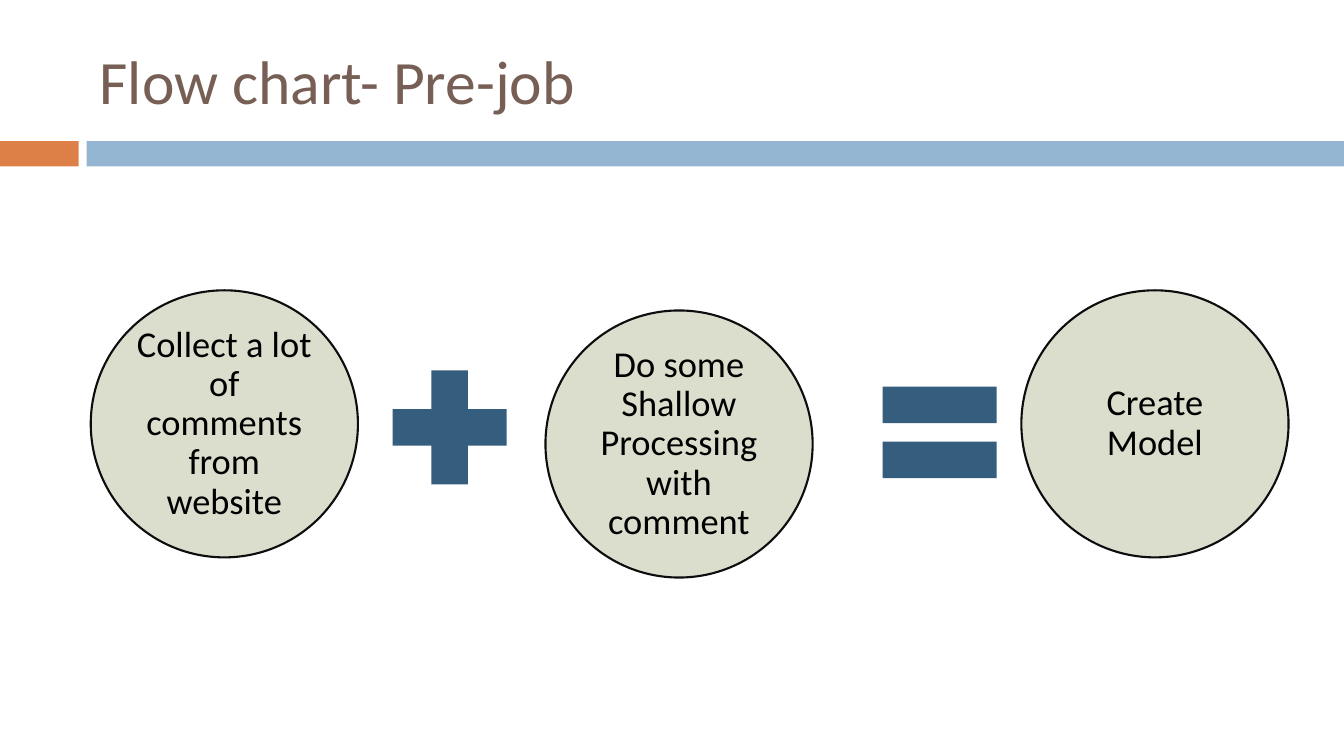
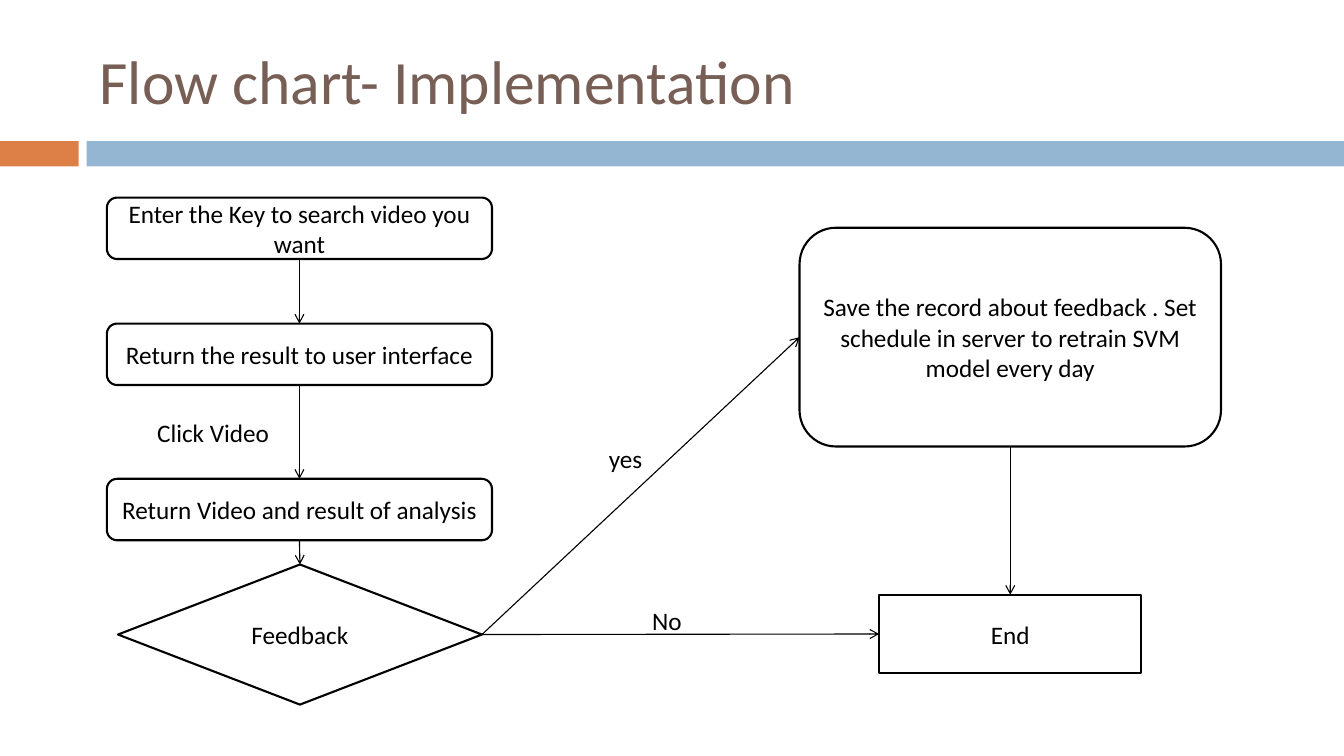
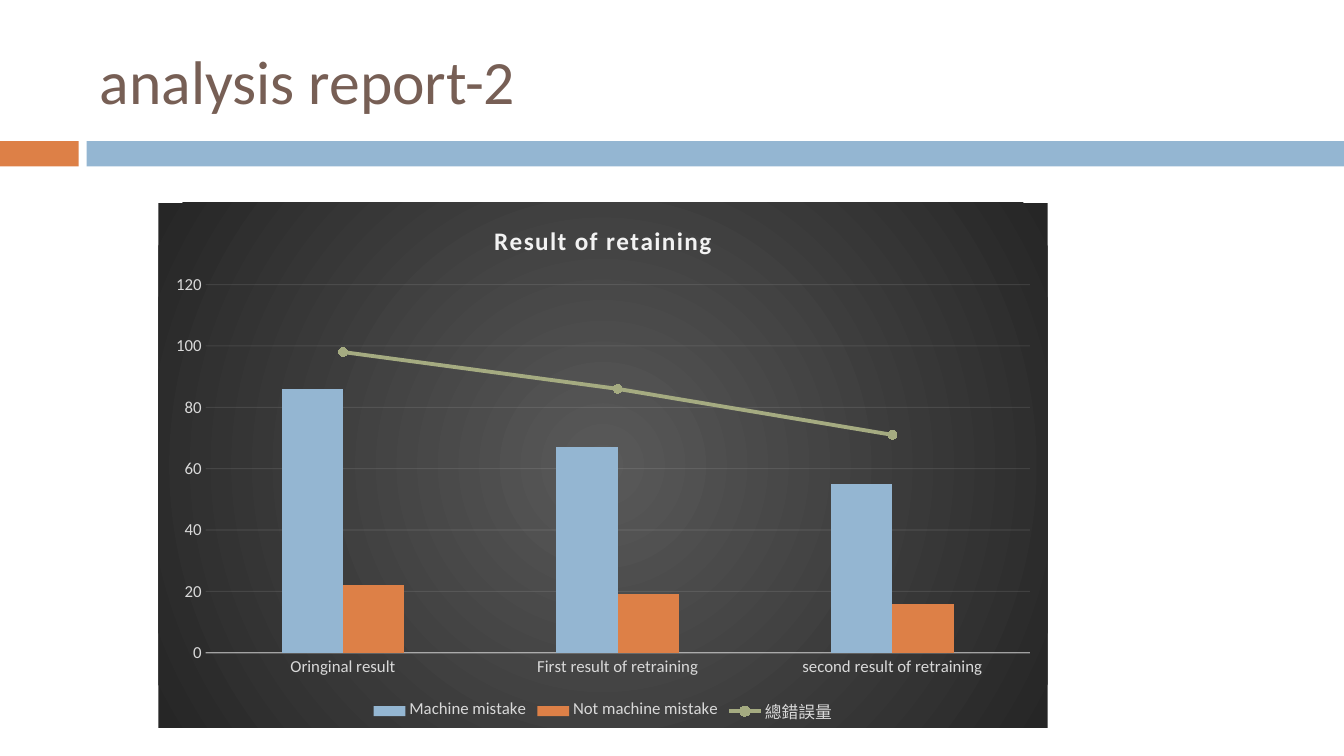
"""Build three slides: two flow charts and a report chart."""
from lxml import etree
from pptx import Presentation
from pptx.chart.data import CategoryChartData
from pptx.dml.color import RGBColor
from pptx.enum.chart import XL_CHART_TYPE, XL_LEGEND_POSITION, XL_MARKER_STYLE, XL_TICK_MARK
from pptx.enum.shapes import MSO_CONNECTOR, MSO_SHAPE
from pptx.enum.text import MSO_ANCHOR, PP_ALIGN
from pptx.oxml import parse_xml
from pptx.oxml.ns import nsdecls, qn
from pptx.util import Inches, Pt

RECT, OVAL, ROUND = MSO_SHAPE.RECTANGLE, MSO_SHAPE.OVAL, MSO_SHAPE.ROUNDED_RECTANGLE
PLUS, EQUAL = MSO_SHAPE.MATH_PLUS, MSO_SHAPE.MATH_EQUAL
CHOICE, STEP = MSO_SHAPE.FLOWCHART_DECISION, MSO_SHAPE.FLOWCHART_PROCESS
SAVE = MSO_SHAPE.FLOWCHART_ALTERNATE_PROCESS
LINE = MSO_CONNECTOR.STRAIGHT
MIDDLE, LEFT_AL, CENTER = MSO_ANCHOR.MIDDLE, PP_ALIGN.LEFT, PP_ALIGN.CENTER
COLUMNS, FOOT = XL_CHART_TYPE.COLUMN_CLUSTERED, XL_LEGEND_POSITION.BOTTOM
DOT, NO_TICK = XL_MARKER_STYLE.CIRCLE, XL_TICK_MARK.NONE
TOP, LEFT, BOTTOM, RIGHT = range(4)

FONT = "Calibri"
COLORS = {
    "title": "775F55", "orange": "DD8047", "blue": "94B6D2", "green": "A5AB81",
    "navy": "355D7E", "sage": "DBDDCD", "edge": "0D0D0D", "black": "000000",
    "label": "D9D9D9", "pale": "F2F2F2", "core": "595959", "rim": "262626",
}


def rgb(name):
    """Return the named colour."""
    return RGBColor.from_string(COLORS[name])


def style(font, size, color, bold=None):
    """Set face, size and colour of a font."""
    font.name, font.size, font.bold = FONT, Pt(size), bold
    font.color.rgb = rgb(color)


def paint(fill, color):
    """Fill with one solid colour."""
    fill.solid()
    fill.fore_color.rgb = rgb(color)


def stroke(line, color, width):
    """Set colour and width of a line."""
    line.color.rgb = rgb(color)
    line.width = Pt(width)


def write(shape, text, size, color="black", align=CENTER):
    """Write one styled paragraph into a shape."""
    frame = shape.text_frame
    frame.text = text
    para = frame.paragraphs[0]
    para.alignment = align
    style(para.runs[0].font, size, color)
    return frame


def add_form(slide, kind, box, fill=None, edge=None):
    """Add a flat preset shape."""
    shape = slide.shapes.add_shape(kind, *map(Inches, box))
    shape.shadow.inherit = False
    if fill:
        paint(shape.fill, fill)
    else:
        shape.fill.background()
    if edge:
        stroke(shape.line, edge, 1.5)
    else:
        shape.line.fill.background()
    return shape


def add_label(slide, text, box, size=18, color="black", wrap=False):
    """Add a left-aligned text box."""
    label = slide.shapes.add_textbox(*map(Inches, box))
    frame = write(label, text, size, color, LEFT_AL)
    frame.word_wrap = wrap
    return frame


def add_page(deck, title):
    """Add a slide with the shared bands and title."""
    slide = deck.slides.add_slide(deck.slide_layouts[6])
    add_form(slide, RECT, (0, 1.4, 0.78, 0.25), "orange")
    add_form(slide, RECT, (0.86, 1.4, 12.47, 0.25), "blue")
    frame = add_label(slide, title, (0.89, 0.25, 11.89, 1.08), 44, "title", True)
    frame.vertical_anchor = MIDDLE
    return slide


def add_disc(slide, text, left, top):
    """Add a round term of the sum."""
    disc = add_form(slide, OVAL, (left, top, 2.65, 2.65), "sage", "edge")
    frame = write(disc, text, 26)
    frame.word_wrap, frame.vertical_anchor = True, MIDDLE
    frame.margin_left = frame.margin_right = Inches(0.04)
    frame.margin_top = frame.margin_bottom = Inches(0.04)
    frame.paragraphs[0].line_spacing = 0.9


def add_step(slide, kind, text, box):
    """Add an outlined flow chart step."""
    step = add_form(slide, kind, box, edge="black")
    frame = write(step, text, 18)
    frame.word_wrap, frame.vertical_anchor = True, MIDDLE
    return step


def add_arrow(slide, start, out, end, into):
    """Join two steps with an arrow."""
    arrow = slide.shapes.add_connector(LINE, 0, 0, 0, 0)
    arrow.begin_connect(start, out)
    arrow.end_connect(end, into)
    stroke(arrow.line, "black", 0.79)
    props = arrow.element.spPr
    etree.SubElement(props.find(qn("a:ln")), qn("a:tailEnd"), type="arrow")
    etree.SubElement(props, qn("a:effectLst"))


def split_line(chart):
    """Move the last column series to a line plot on the same axes."""
    bars = chart.element.xpath(".//c:barChart")[0]
    series = bars.findall(qn("c:ser"))[-1]
    for flag in series.findall(qn("c:invertIfNegative")):
        series.remove(flag)
    plot = parse_xml(
        f'<c:lineChart {nsdecls("c")}><c:grouping val="standard"/>'
        '<c:varyColors val="0"/><c:marker val="1"/></c:lineChart>')
    plot.insert(2, series)
    for axis in bars.findall(qn("c:axId")):
        etree.SubElement(plot, qn("c:axId"), val=axis.get("val"))
    bars.addnext(plot)


def shade(chart):
    """Give the chart a round gradient ground."""
    stops = "".join(
        f'<a:gs pos="{place}"><a:srgbClr val="{COLORS[name]}"/></a:gs>'
        for place, name in ((0, "core"), (100000, "rim")))
    ground = parse_xml(
        f'<c:spPr {nsdecls("c", "a")}><a:gradFill><a:gsLst>{stops}</a:gsLst>'
        '<a:path path="circle"><a:fillToRect l="50000" t="50000" r="50000" b="50000"/>'
        '</a:path></a:gradFill><a:ln><a:noFill/></a:ln></c:spPr>')
    chart.element.find(qn("c:chart")).addnext(ground)


def fade(chart, route, share):
    """Make a line colour partly clear."""
    color = chart.element.xpath(f".//{route}/c:spPr//a:srgbClr")[0]
    etree.SubElement(color, qn("a:alpha"), val=str(share * 1000))


def set_axes(chart):
    """Style both axes and the grid."""
    across, up = chart.category_axis, chart.value_axis
    for axis in (across, up):
        axis.major_tick_mark = axis.minor_tick_mark = NO_TICK
        style(axis.tick_labels.font, 12, "label")
    stroke(across.format.line, "pale", 1)
    fade(chart, "c:catAx", 54)
    up.minimum_scale, up.maximum_scale, up.major_unit = 0, 120, 20
    up.format.line.fill.background()
    stroke(up.major_gridlines.format.line, "pale", 0.75)
    fade(chart, "c:majorGridlines", 10)


def set_title(chart, text):
    """Add a bold, spaced chart title."""
    frame = chart.chart_title.text_frame
    frame.text = text
    run = frame.paragraphs[0].runs[0]
    style(run.font, 18, "pale", True)
    run._r.get_or_add_rPr().set("spc", "100")


def add_combo(slide, title, names, rows, box):
    """Add a chart of columns with a line for the last row."""
    data = CategoryChartData()
    data.categories = names
    for name, values in rows:
        data.add_series(name, values)
    chart = slide.shapes.add_chart(COLUMNS, *map(Inches, box), data).chart
    style(chart.font, 10, "black")
    split_line(chart)
    shade(chart)
    bars, trend = chart.plots
    bars.gap_width, bars.overlap = 247, 0
    bars.vary_by_categories = False
    for series, color in zip(bars.series, ("blue", "orange")):
        paint(series.format.fill, color)
    total = trend.series[0]
    total.smooth = False
    stroke(total.format.line, "green", 2.75)
    total.marker.style, total.marker.size = DOT, 6
    paint(total.marker.format.fill, "green")
    stroke(total.marker.format.line, "green", 0.75)
    set_axes(chart)
    set_title(chart, title)
    chart.has_legend = True
    chart.legend.position = FOOT
    chart.legend.include_in_layout = False
    style(chart.legend.font, 12, "label")


def build_sum(deck):
    """Build the slide of work done before the job."""
    slide = add_page(deck, "Flow chart- Pre-job")
    for text, left, top in (
        ("Collect a lot of comments from website", 0.9, 2.88),
        ("Do some Shallow Processing with comment", 5.41, 3.08),
        ("Create Model", 10.13, 2.88),
    ):
        add_disc(slide, text, left, top)
    for kind, left, top in ((PLUS, 3.69, 3.47), (EQUAL, 8.55, 3.52)):
        add_form(slide, kind, (left, top, 1.54, 1.54), "navy")


def build_flow(deck):
    """Build the slide of the running system."""
    slide = add_page(deck, "Flow chart- Implementation")
    chain = [
        add_step(slide, ROUND, text, (1.06, top, 3.82, 0.61))
        for text, top in (
            ("Enter the Key to search video you want", 1.96),
            ("Return the result to user interface", 3.21),
            ("Return Video and result of analysis", 4.75),
        )
    ]
    choice = add_step(slide, CHOICE, "Feedback", (1.17, 5.6, 3.61, 1.39))
    chain.append(choice)
    save = add_step(
        slide, SAVE,
        "Save the record about feedback . Set schedule in server to retrain SVM model every day",
        (7.93, 2.26, 4.18, 2.17))
    end = add_step(slide, STEP, "End", (8.72, 5.9, 2.6, 0.78))
    for start, after in zip(chain, chain[1:]):
        add_arrow(slide, start, BOTTOM, after, TOP)
    add_arrow(slide, choice, RIGHT, save, LEFT)
    add_arrow(slide, choice, RIGHT, end, LEFT)
    add_arrow(slide, save, BOTTOM, end, TOP)
    for text, left, top, width in (
        ("yes", 5.94, 4.35, 0.53),
        ("No", 6.37, 5.96, 0.5),
        ("Click Video", 1.46, 4.09, 1.35),
    ):
        add_label(slide, text, (left, top, width, 0.4))


def build_report(deck):
    """Build the slide of results."""
    slide = add_page(deck, "analysis report-2")
    names = ("Oringinal result", "First result of retraining", "second result of retraining")
    rows = (
        ("Machine mistake", (86, 67, 55)),
        ("Not machine mistake", (22, 19, 16)),
        ("總錯誤量", (98, 86, 71)),
    )
    add_combo(slide, "Result of retaining", names, rows, (1.57, 2.01, 8.82, 5.21))


def main():
    """Build and save the deck."""
    deck = Presentation()
    deck.slide_width, deck.slide_height = Inches(13.33), Inches(7.5)
    build_sum(deck)
    build_flow(deck)
    build_report(deck)
    deck.save("out.pptx")


if __name__ == "__main__":
    main()
